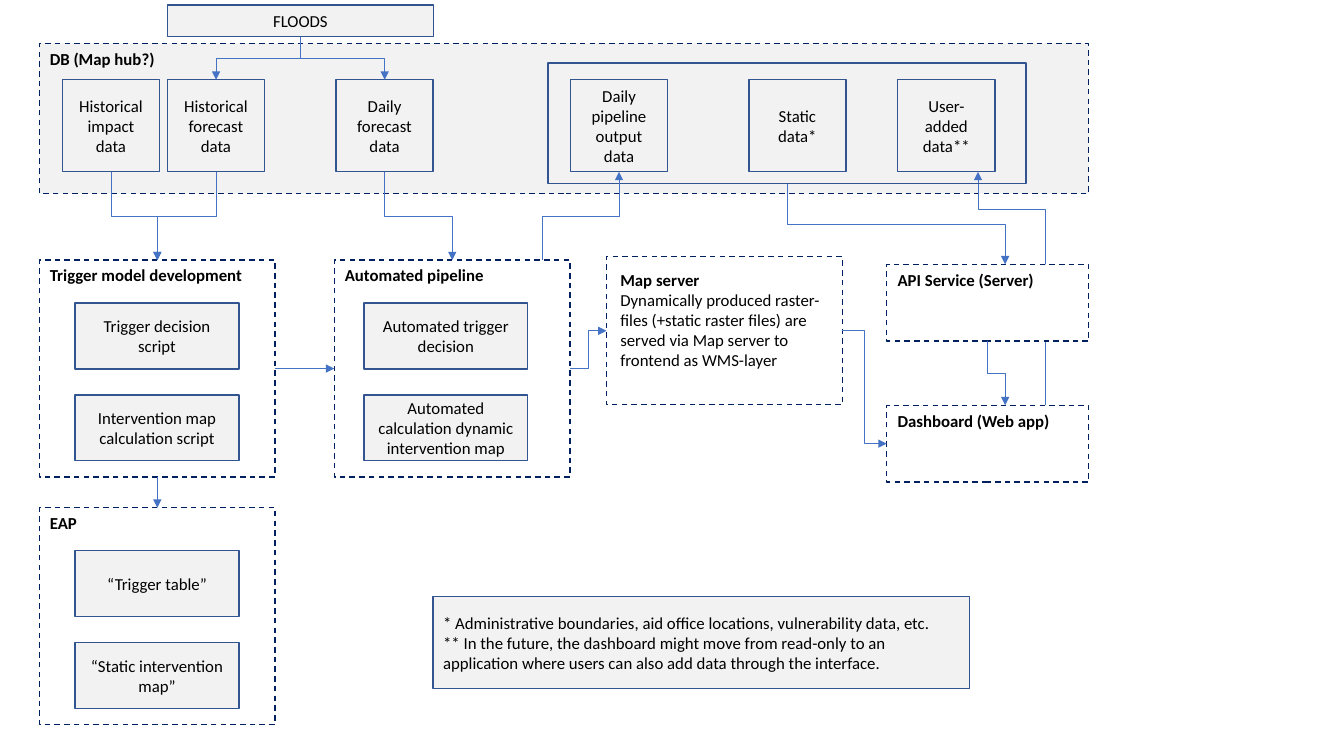
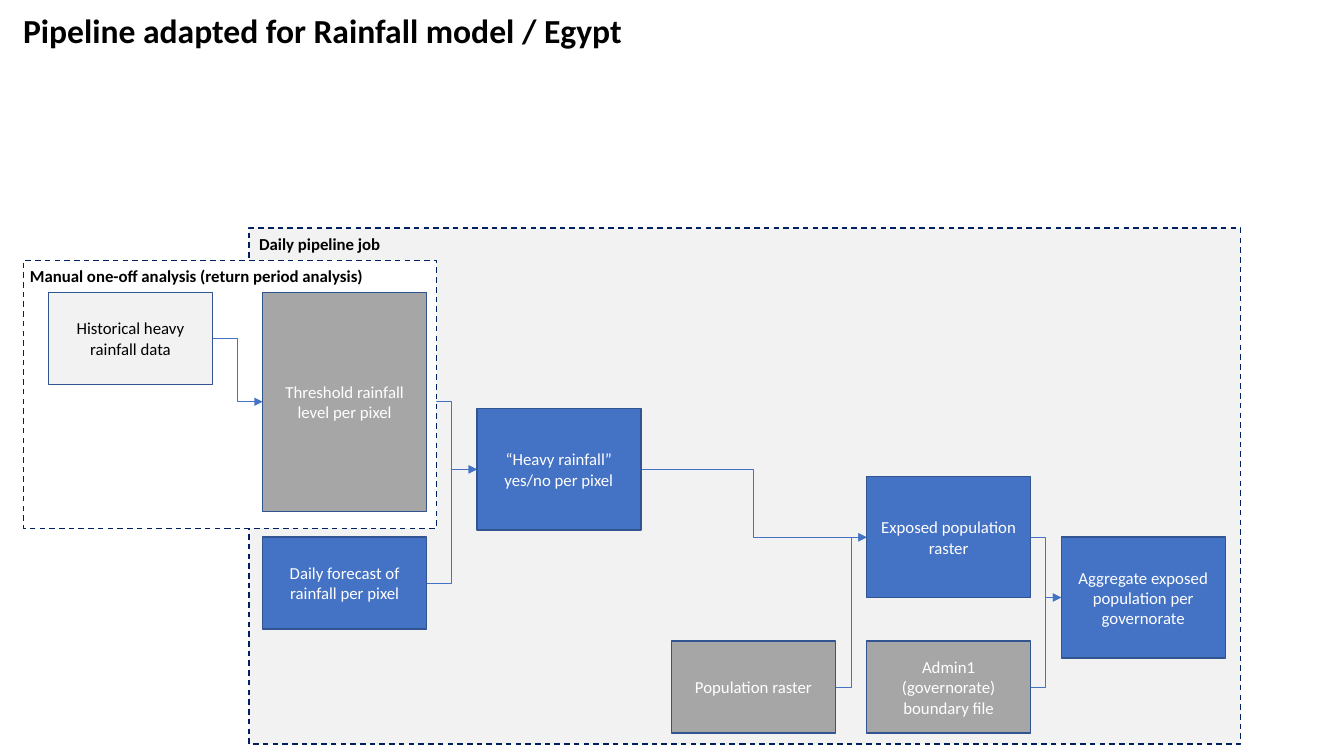
from lxml import etree
from pptx import Presentation
from pptx.dml.color import RGBColor
from pptx.enum import dml, shapes, text
from pptx.oxml.ns import qn
from pptx.util import Pt

NAVY = RGBColor(0x00, 0x20, 0x60)
OUTLINE = RGBColor(0x32, 0x54, 0x91)
BLUE = RGBColor(0x44, 0x72, 0xC4)
PALE = RGBColor(0xF2, 0xF2, 0xF2)
GREY = RGBColor(0xA6, 0xA6, 0xA6)
WHITE = RGBColor(0xFF, 0xFF, 0xFF)
BLACK = RGBColor(0x00, 0x00, 0x00)
FONT = "Calibri"

presentation = Presentation()
presentation.slide_width, presentation.slide_height = Pt(960), Pt(540)
blank = presentation.slide_layouts[6]


def add_box(slide, words, frame, fill=PALE, line=OUTLINE, dashed=False,
            size=12, bold=False, centred=True):
    """Add a rectangle, or a plain text box when there is no outline."""
    frame = [Pt(length) for length in frame]
    if line is None:
        shape = slide.shapes.add_textbox(*frame)
    else:
        shape = slide.shapes.add_shape(shapes.MSO_SHAPE.RECTANGLE, *frame)
        shape.shadow.inherit = False
        shape.line.color.rgb = line
        shape.line.width = Pt(1)
        if dashed:
            shape.line.dash_style = dml.MSO_LINE.DASH
        if fill is None:
            shape.fill.background()
        else:
            shape.fill.solid()
            shape.fill.fore_color.rgb = fill
        shape.text_frame.vertical_anchor = text.MSO_ANCHOR.MIDDLE
    shape.text_frame.word_wrap = True
    shape.text_frame.text = words
    for paragraph in shape.text_frame.paragraphs:
        paragraph.alignment = text.PP_ALIGN.CENTER if centred else text.PP_ALIGN.LEFT
        paragraph.font.name = FONT
        paragraph.font.size = Pt(size)
        paragraph.font.bold = bold
        paragraph.font.color.rgb = WHITE if fill in (BLUE, GREY) else BLACK
    return shape


def add_arrow(slide, start, end, vertical=False, bend=None):
    """Add an arrow; a vertical one leaves its start upwards or downwards."""
    (x1, y1), (x2, y2) = start, end
    straight = x1 == x2 or y1 == y2
    turn = None
    if vertical and not straight:
        # A quarter turn about the middle makes the elbow start vertically
        middle_x, middle_y = (x1 + x2) / 2, (y1 + y2) / 2
        sign = 1 if (x2 - x1) * (y2 - y1) > 0 else -1
        half_x, half_y = sign * (x2 - x1) / 2, sign * (y2 - y1) / 2
        x1, y1 = middle_x + half_y, middle_y - half_x
        x2, y2 = middle_x - half_y, middle_y + half_x
        turn = 270 if sign > 0 else 90
    kind = shapes.MSO_CONNECTOR.STRAIGHT if straight else shapes.MSO_CONNECTOR.ELBOW
    connector = slide.shapes.add_connector(kind, Pt(x1), Pt(y1), Pt(x2), Pt(y2))
    connector.line.color.rgb = BLUE
    connector.line.width = Pt(0.5)
    properties = connector._element.spPr
    if turn:
        properties.find(qn("a:xfrm")).set("rot", str(turn * 60000))
    if bend:
        values = properties.find(qn("a:prstGeom")).find(qn("a:avLst"))
        etree.SubElement(values, qn("a:gd"), name="adj1", fmla=f"val {bend}")
    etree.SubElement(connector.line._get_or_add_ln(), qn("a:tailEnd"), type="triangle")
    etree.SubElement(properties, qn("a:effectLst"))


# Slide 1: system overview
slide = presentation.slides.add_slide(blank)
DATA_TOP, DATA_BOTTOM = 57, 122.8
PANEL_TOP, PANEL_BOTTOM = 185.8, 341
EAP_TOP = 362.7
API_TOP, DASHBOARD_TOP = 188.8, 289.5

# Dashboard to user data, running behind the API panel
add_box(slide, "", (28.1, 31, 749.5, 107.3), line=NAVY, dashed=True)
add_arrow(slide, (746.8, DASHBOARD_TOP), (698.6, DATA_BOTTOM), True, 83800)

# Panels
for left, top, width, height in [
    (28.1, PANEL_TOP, 168.5, 154.8),
    (238.8, PANEL_TOP, 168.5, 154.8),
    (28.1, EAP_TOP, 168.5, 154.8),
    (433.2, 183.4, 168.5, 105.8),
    (633.4, API_TOP, 144.2, 54.9),
    (633.4, DASHBOARD_TOP, 144.2, 54.9),
]:
    add_box(slide, "", (left, top, width, height), WHITE, NAVY, True)

# Panel labels
for words, left, top in [
    ("DB (Map hub?)", 28.5, 31),
    ("Trigger model development", 28.5, PANEL_TOP),
    ("Automated pipeline", 239.2, PANEL_TOP),
    ("EAP", 28.5, EAP_TOP),
    ("API Service (Server)", 634, API_TOP),
    ("Dashboard (Web app)", 634, DASHBOARD_TOP),
]:
    add_box(slide, words, (left, top, 168, 21.8), None, None, bold=True, centred=False)

map_server = add_box(
    slide,
    "Map server\nDynamically produced raster-files (+static raster files) are "
    "served via Map server to frontend as WMS-layer",
    (436, 188.8, 168, 80), None, None, centred=False)
map_server.text_frame.paragraphs[0].font.bold = True

# Data sets
add_box(slide, "", (391.5, 44.9, 341.5, 86.2), None)
for words, left in [
    ("Historical impact data", 44.6),
    ("Historical forecast data", 119.6),
    ("Daily forecast data", 240),
    ("Daily pipeline output data", 407.5),
    ("Static data*", 534.9),
    ("User-added data**", 641.3),
]:
    add_box(slide, words, (left, DATA_TOP, 69.4, 65.7))
add_box(slide, "FLOODS", (119.6, 3.6, 190, 22.7))

# Two steps in each panel
for left, top, steps in [
    (53.7, PANEL_TOP, ("Trigger decision script", "Intervention map calculation script")),
    (260, PANEL_TOP, ("Automated trigger decision",
                      "Automated calculation dynamic intervention map")),
    (53.7, EAP_TOP, ("“Trigger table”", "“Static intervention map”")),
]:
    for row, words in enumerate(steps):
        add_box(slide, words, (left, top + 30.7 + 65.7 * row, 117, 47))

add_box(
    slide,
    "* Administrative boundaries, aid office locations, vulnerability data, etc.\n"
    "** In the future, the dashboard might move from read-only to an "
    "application where users can also add data through the interface.",
    (309.4, 426.2, 383.2, 65.7), centred=False)

# Arrows that leave upwards or downwards
for start, end in [
    ((79.4, DATA_BOTTOM), (112.4, PANEL_TOP)),
    ((154.3, DATA_BOTTOM), (112.4, PANEL_TOP)),
    ((274.8, DATA_BOTTOM), (323.1, PANEL_TOP)),
    ((112.4, PANEL_BOTTOM), (112.4, EAP_TOP)),
    ((387.5, PANEL_TOP), (442.2, DATA_BOTTOM)),
    ((562.2, 131.1), (718, API_TOP)),
    ((705.5, 243.8), (718, DASHBOARD_TOP)),
    ((214.6, 26.4), (274.8, DATA_TOP)),
    ((214.6, 26.4), (154.3, DATA_TOP)),
]:
    add_arrow(slide, start, end, True)

# Arrows that leave sideways
for start, end in [
    ((196.6, 263.3), (238.8, 263.3)),
    ((407.3, 263.3), (433.2, 236.3)),
    ((601.7, 236.3), (633.4, 316.9)),
]:
    add_arrow(slide, start, end)

# Slide 2: rainfall pipeline
slide = presentation.slides.add_slide(blank)
add_box(slide, "", (178, 162.8, 708, 368.7), line=NAVY, dashed=True)
add_box(slide, "Pipeline adapted for Rainfall model / Egypt", (9.4, 3.6, 938, 36.4),
        None, None, size=24, bold=True, centred=False)
add_box(slide, "Daily pipeline job", (178, 163.4, 182, 21.8), None, None,
        bold=True, centred=False)

# Arrows between the steps
for start, end in [
    ((304.8, 287), (340.6, 335.3)),
    ((304.8, 416.4), (340.6, 335.3)),
    ((457.8, 335.3), (619, 383.8)),
    ((596.8, 491), (619, 383.8)),
    ((736.1, 383.8), (758, 426.8)),
    ((736.1, 491), (758, 426.8)),
]:
    add_arrow(slide, start, end)

# One-off analysis, in front of the pipeline
add_box(slide, "", (16.7, 186, 295, 191.4), WHITE, NAVY, True)
add_box(slide, "Manual one-off analysis (return period analysis)",
        (14.3, 186, 268.6, 21.8), None, None, bold=True, centred=False)
add_arrow(slide, (151.8, 241.6), (187.6, 287))

# Steps
for words, left, top, height, fill in [
    ("Historical heavy rainfall data", 34.6, 208.8, 65.7, PALE),
    ("Threshold rainfall level per pixel", 187.6, 208.8, 156.5, GREY),
    ("Daily forecast of rainfall per pixel", 187.6, 383.6, 65.7, BLUE),
    ("“Heavy rainfall” yes/no per pixel", 340.6, 292, 86.5, BLUE),
    ("Population raster", 479.6, 458, 65.7, GREY),
    ("Exposed population raster", 619, 340.5, 86.5, BLUE),
    ("Admin1 (governorate) boundary file", 619, 458, 65.7, GREY),
    ("Aggregate exposed population per governorate", 758, 383.6, 86.5, BLUE),
]:
    add_box(slide, words, (left, top, 117.2, height), fill)

presentation.save("out.pptx")
